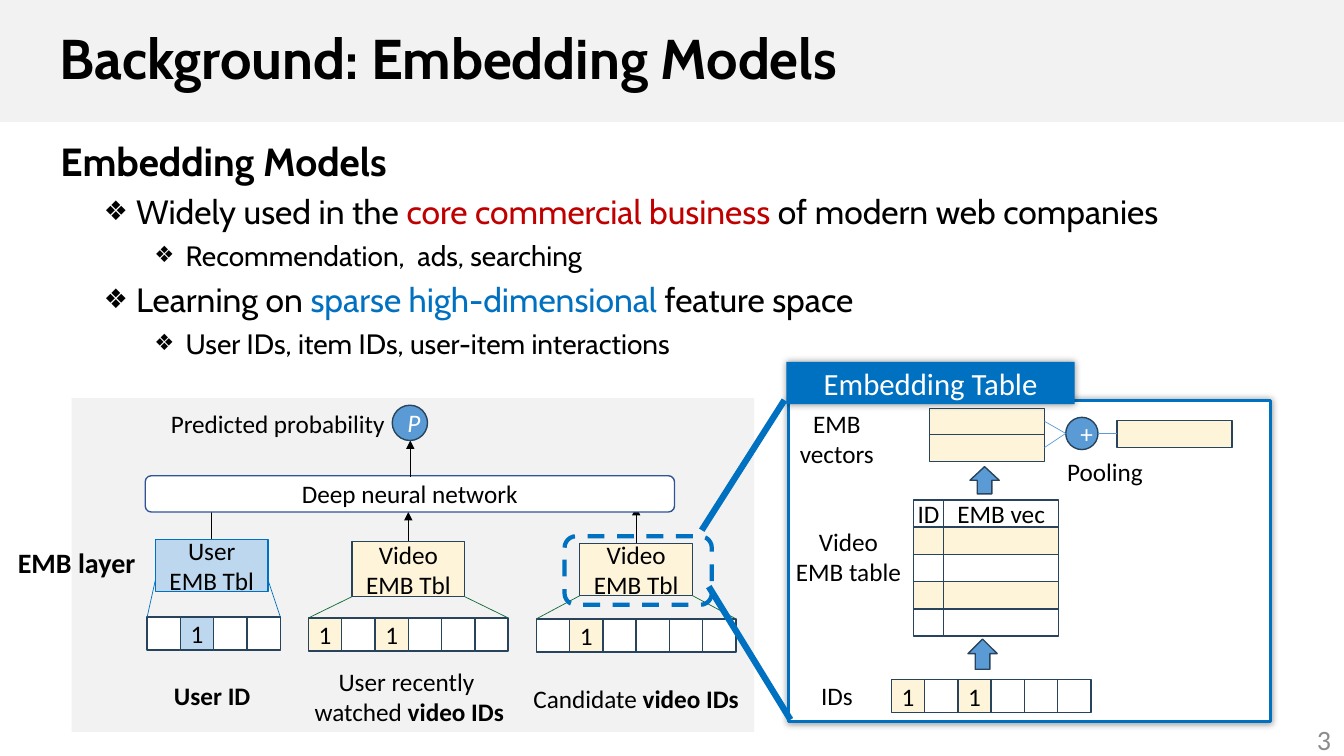
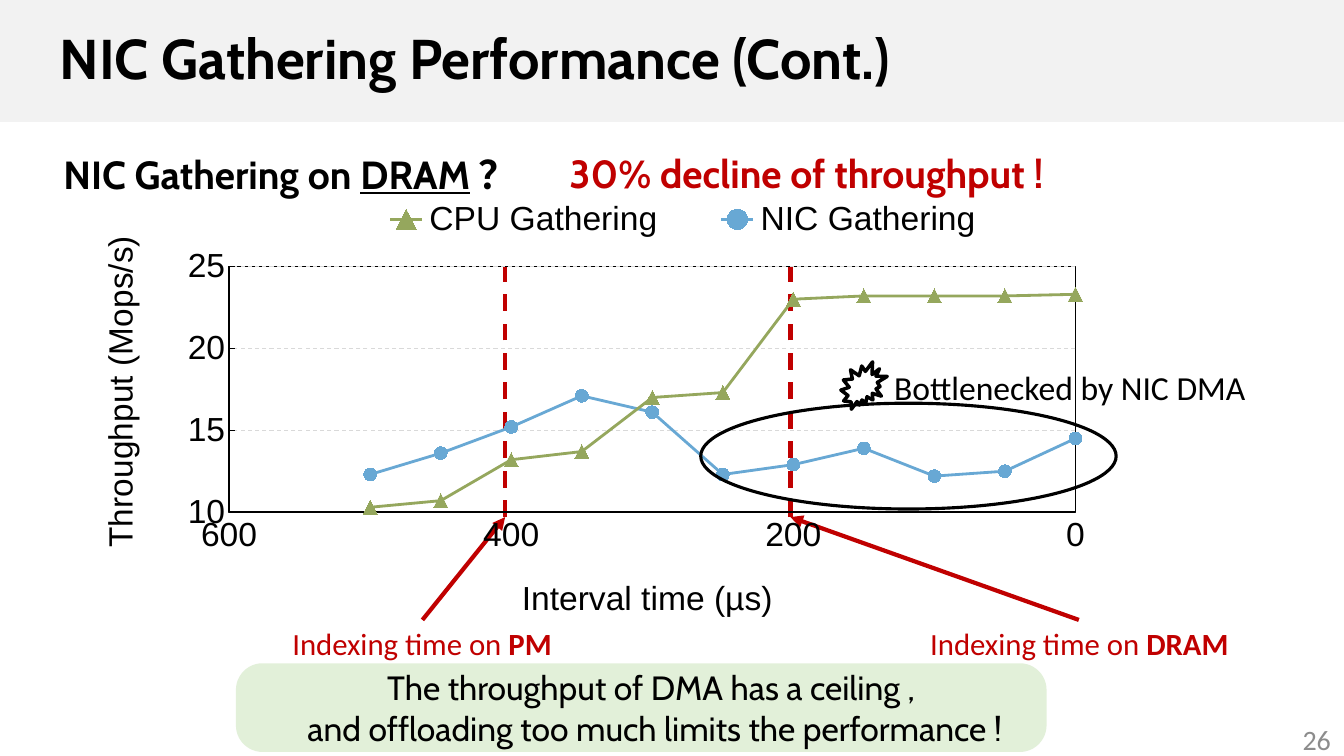
from lxml import etree
from pptx import Presentation
from pptx import util as u
from pptx.chart import data
from pptx.dml import color as colors
from pptx.enum import chart as charts, dml, shapes, text
from pptx.oxml import parse_xml
from pptx.oxml.ns import nsdecls, qn

EMU_PER_PX = 9144
BLACK, WHITE, GREY, RED = "000000", "FFFFFF", "F2F2F2", "C00000"
BLUE, SKY, PALE, CREAM = "0070C0", "5B9BD5", "BDD7EE", "FDF4D9"
INK, GREEN = "28445D", "0F6938"
KIND = shapes.MSO_SHAPE
LEFT, CENTER, RIGHT = text.PP_ALIGN.LEFT, text.PP_ALIGN.CENTER, text.PP_ALIGN.RIGHT
TOP, MIDDLE = text.MSO_ANCHOR.TOP, text.MSO_ANCHOR.MIDDLE
DASH = dml.MSO_LINE.DASH


def px(value):
    return u.Emu(value * EMU_PER_PX)


def rgb(value):
    return colors.RGBColor.from_string(value)


def assign(target, values):
    for name, value in values.items():
        setattr(target, name, value)


def style_font(font, size=18, name="Calibri", color=BLACK, **values):
    assign(font, {"size": u.Pt(size), "name": name, **values})
    font.color.rgb = rgb(color)


def style_line(line, color, width, dash=None):
    line.color.rgb = rgb(color)
    line.width = u.Pt(width)
    if dash:
        line.dash_style = dash


def write(frame, lines, align=CENTER, paragraph=None, **font):
    lines = [lines] if isinstance(lines, str) else lines
    for index, line in enumerate(lines):
        para = frame.paragraphs[0] if index == 0 else frame.add_paragraph()
        assign(para, {"alignment": align, **(paragraph or {})})
        for content, changes in [(line, {})] if isinstance(line, str) else line:
            span = para.add_run()
            span.text = content
            style_font(span.font, **{**font, **changes})


def place_manually(element, fractions):
    for old in element.findall(qn("c:layout")):
        element.remove(old)
    layout = parse_xml(f'<c:layout {nsdecls("c")}><c:manualLayout/></c:layout>')
    for tag, value in fractions.items():
        etree.SubElement(layout[0], qn(f"c:{tag}")).set("val", str(value))
    before = element.find(qn("c:tx"))
    if before is None:
        before = element.find(qn("c:legendPos"))
    if before is None:
        element.insert(0, layout)
    else:
        before.addnext(layout)


class Slides:
    heading = {"name": "Cabin", "size": 28, "bold": True}

    def __init__(self):
        self.deck = Presentation()
        assign(self.deck, {"slide_width": px(1333), "slide_height": px(750)})
        self.page = None

    def start(self, layout, title, number):
        self.page = self.deck.slides.add_slide(self.deck.slide_layouts[layout])
        box = self.page.shapes.title
        self.move(box, 0, 0, 1333, 121)
        box.fill.solid()
        box.fill.fore_color.rgb = rgb(GREY)
        assign(box.text_frame, {"margin_left": px(59), "margin_top": 0, "margin_bottom": 0,
                                "vertical_anchor": MIDDLE, "auto_size": text.MSO_AUTO_SIZE.NONE})
        write(box.text_frame, title, LEFT, {"line_spacing": 0.9}, name="Cabin", size=40, bold=True)
        self.label(1030, 712, 300, 40, number, align=RIGHT, size=20, color="8C8C8C")

    def move(self, box, *place):
        assign(box, dict(zip(("left", "top", "width", "height"), map(px, place))))

    def bullets(self, place, items):
        box = self.page.placeholders[1]
        self.move(box, *place)
        frame = box.text_frame
        assign(frame, {"vertical_anchor": TOP, "auto_size": text.MSO_AUTO_SIZE.NONE})
        levels = [(50, 0, self.heading), (125, -32, {"name": "Cabin", "size": 24}),
                  (174, -31, {"name": "Cabin", "size": 20})]
        write(frame, [[(words, {**levels[level][2], **changes}) for words, changes in spans]
                      for level, spans in items], LEFT, {"space_before": u.Pt(5)})
        for para, (level, spans) in zip(frame.paragraphs, items):
            margin, indent, _ = levels[level]
            para.level = level
            props = para._p.get_or_add_pPr()
            props.set("marL", str(px(margin)))
            props.set("indent", str(px(indent)))
            if level:
                etree.SubElement(props, qn("a:buSzPct")).set("val", "80000")
                etree.SubElement(props, qn("a:buChar")).set("char", "❖")
            else:
                etree.SubElement(props, qn("a:buNone"))

    def label(self, x, y, width, height, words, wrap=False, align=CENTER, **font):
        box = self.page.shapes.add_textbox(*map(px, (x, y, width, height)))
        box.text_frame.word_wrap = wrap
        write(box.text_frame, words, align, **font)

    def shape(self, x, y, width, height, fill=None, line=None, words=None,
              kind=KIND.RECTANGLE, glow=False, inset=None, **font):
        box = self.page.shapes.add_shape(kind, *map(px, (x, y, width, height)))
        box.shadow.inherit = False
        if fill:
            box.fill.solid()
            box.fill.fore_color.rgb = rgb(fill)
        else:
            box.fill.background()
        if line:
            style_line(box.line, *line)
        else:
            box.line.fill.background()
        if glow:
            effects = box._element.spPr.find(qn("a:effectLst"))
            effects.append(parse_xml(
                f'<a:outerShdw {nsdecls("a")} blurRad="63500" dist="0" algn="ctr" rotWithShape="0">'
                '<a:srgbClr val="000000"><a:alpha val="40000"/></a:srgbClr></a:outerShdw>'))
        if words:
            frame = box.text_frame
            frame.vertical_anchor = MIDDLE
            if inset is not None:
                assign(frame, {"margin_" + side: px(inset)
                               for side in ("left", "top", "right", "bottom")})
            write(frame, words, **font)
        return box

    def line(self, x1, y1, x2, y2, color, width=0.5, dash=None, arrow=False):
        link = self.page.shapes.add_connector(shapes.MSO_CONNECTOR.STRAIGHT, *map(px, (x1, y1, x2, y2)))
        style_line(link.line, color, width, dash)
        props = link._element.spPr
        if arrow:
            etree.SubElement(props.find(qn("a:ln")), qn("a:tailEnd")).set("type", "triangle")
        etree.SubElement(props, qn("a:effectLst"))

    def strip(self, x, y, cells, marked, color, blank=None):
        for index in range(cells):
            hit = index in marked
            self.shape(x + 33 * index, y, 33, 33, color if hit else blank, (INK, 1), "1" if hit else None)

    def tower(self, box, words, color, edge, strip, cells, marked, link, rise, tip):
        x, y, width, height = box
        left, top = strip
        self.strip(left, top, cells, marked, color, WHITE)
        self.shape(*box, color, (edge, 1), words)
        for start, end in ((x, left), (x + width, left + 33 * cells)):
            self.line(start, y + height - rise, end, top, link)
        self.line(x + width // 2, y, x + width // 2, tip, BLACK, arrow=True)

    def scatter(self, place, xs, series):
        values = data.XyChartData()
        for name, ys, *_ in series:
            entry = values.add_series(name)
            for x, y in zip(xs, ys):
                entry.add_data_point(x, y)
        chart = self.page.shapes.add_chart(
            charts.XL_CHART_TYPE.XY_SCATTER_SMOOTH, *map(px, place), values).chart
        font = {"size": 24, "name": "Arial"}
        style_font(chart.font, **font)
        assign(chart, {"has_title": False, "has_legend": True})
        assign(chart.legend, {"position": charts.XL_LEGEND_POSITION.TOP, "include_in_layout": False})
        style_font(chart.legend.font, **font)
        place_manually(chart.legend._element, {"xMode": "edge", "yMode": "edge", "x": 0.26,
                                               "y": 0.03, "w": 0.62, "h": 0.12})
        chart.plots[0].vary_by_categories = False
        for drawn, (_, _, color, marker, size) in zip(chart.plots[0].series, series):
            drawn.smooth = True
            style_line(drawn.format.line, color, 2)
            assign(drawn.marker, {"style": marker, "size": size})
            drawn.marker.format.fill.solid()
            drawn.marker.format.fill.fore_color.rgb = rgb(color)
            drawn.marker.format.line.color.rgb = rgb(color)
        tick = charts.XL_TICK_MARK
        across, up = chart.category_axis, chart.value_axis
        for axis, words, spot, values in (
                (across, "Interval time (µs)", (0.42, 0.88),
                 {"minimum_scale": 0, "maximum_scale": 600, "major_unit": 200, "reverse_order": True,
                  "has_major_gridlines": False, "major_tick_mark": tick.NONE,
                  "crosses": charts.XL_AXIS_CROSSES.MAXIMUM}),
                (up, "Throughput (Mops/s)", (0.04, 0.12),
                 {"minimum_scale": 10, "maximum_scale": 25, "major_unit": 5,
                  "has_major_gridlines": True, "major_tick_mark": tick.INSIDE})):
            assign(axis, {**values, "minor_tick_mark": tick.NONE})
            style_font(axis.tick_labels.font, **font)
            style_line(axis.format.line, BLACK, 1)
            write(axis.axis_title.text_frame, words, bold=False, **font)
            place_manually(axis.axis_title._element,
                           {"xMode": "edge", "yMode": "edge", "x": spot[0], "y": spot[1]})
        up.axis_title.text_frame._txBody.bodyPr.set("rot", "-5400000")
        style_line(up.major_gridlines.format.line, "D9D9D9", 0.75, DASH)
        area = chart._chartSpace.chart.plotArea
        place_manually(area, {"layoutTarget": "inner", "xMode": "edge", "yMode": "edge",
                              "x": 0.163, "y": 0.196, "w": 0.759, "h": 0.553})
        area.append(parse_xml(f'<c:spPr {nsdecls("c", "a")}><a:noFill/><a:ln w="12700"><a:solidFill>'
                              '<a:srgbClr val="000000"/></a:solidFill></a:ln></c:spPr>'))


def embedding_models(show):
    show.start(1, "Background: Embedding Models", "3")
    show.bullets((0, 131, 1252, 439), [
        (0, [("Embedding Models", {})]),
        (1, [("Widely used in the ", {}), ("core commercial business ", {"color": RED}),
             ("of modern web companies", {})]),
        (2, [("Recommendation,  ads, searching", {})]),
        (1, [("Learning on ", {}), ("sparse high-dimensional", {"color": BLUE}), (" feature space", {})]),
        (2, [("User IDs, item IDs, user-item interactions", {})])])

    edge = (INK, 1)
    show.shape(782, 397, 478, 319, WHITE, (BLUE, 2.25), glow=True)
    show.label(778, 517, 127, 71, ["Video", "EMB table"])
    for row in range(5):
        fill = CREAM if row % 2 else None
        for x, width, words in ((906, 30, "ID"), (936, 114, "EMB vec")):
            show.shape(x, 496 + 27 * row, width, 27, fill, edge, None if row else words, inset=0)
    show.strip(884, 674, 6, (0, 2), CREAM)
    show.label(804, 670, 52, 40, "IDs")
    for x, y, height in ((960, 634, 30), (962, 463, 27)):
        show.shape(x, y, 29, height, SKY, edge, kind=KIND.UP_ARROW)
    for x, y in ((922, 405), (922, 431), (1108, 417)):
        show.shape(x, y, 114, 27, CREAM, edge)
    show.label(1048, 448, 96, 40, "Pooling")
    show.shape(1057, 414, 32, 32, SKY, edge, "+", KIND.OVAL, color=WHITE)
    for ends in ((1036, 418, 1057, 430), (1036, 444, 1057, 430), (1089, 430, 1108, 430)):
        show.line(*ends, SKY)
    show.shape(780, 359, 286, 42, BLUE, words="Embedding Table", glow=True, size=22, color=WHITE)
    show.label(741, 400, 178, 71, ["EMB", "vectors"])

    show.shape(71, 395, 677, 331, GREY)
    video = ["Video", "EMB Tbl"]
    show.tower((154, 535, 112, 52), ["User", "EMB Tbl"], PALE, BLUE, (146, 612), 4, (1,), BLUE, 11, 499)
    show.tower((575, 539, 112, 52), video, CREAM, INK, (532, 614), 6, (1,), GREEN, 0, 503)
    show.tower((349, 537, 112, 55), video, CREAM, INK, (306, 613), 6, (0, 2), GREEN, 0, 508)
    strong = {"bold": True}
    show.label(162, 670, 97, 40, "User ID", **strong)
    show.label(518, 673, 226, 40, [[("Candidate ", {}), ("video IDs", strong)]])
    show.label(301, 656, 210, 71, ["User recently ", [("watched ", {}), ("video IDs", strong)]])
    show.shape(144, 472, 525, 36, WHITE, ("2F5597", 1), "Deep neural network", KIND.ROUNDED_RECTANGLE)
    show.line(407, 473, 407, 437, BLACK, arrow=True)
    show.shape(389, 402, 35, 35, SKY, edge, "P", KIND.OVAL, color=WHITE, italic=True)
    show.label(158, 400, 235, 40, "Predicted probability")
    show.shape(560, 532, 146, 68, line=(BLUE, 3, DASH), kind=KIND.ROUNDED_RECTANGLE)
    for ends in ((696, 526, 778, 397), (703, 582, 784, 714)):
        show.line(*ends, BLUE, 4.5)
    show.label(7, 536, 138, 44, "EMB layer", size=20, **strong)


def gathering_performance(show):
    show.start(5, "NIC Gathering Performance (Cont.)", "26")
    for x, width, target, tail, foot in ((279, 279, "PM", 419, 501), (912, 317, "DRAM", 1070, 784)):
        show.label(x, 615, width, 47, [[("Indexing time on ", {}), (target, {"bold": True})]],
                   size=22, color=RED)
        show.line(tail, 615, foot, 513, RED, 3, arrow=True)
        show.line(foot, 513, foot, 264, RED, 3, DASH)
    marker = charts.XL_MARKER_STYLE
    show.scatter((47, 178, 1106, 445), range(0, 501, 50), [
        ("CPU Gathering", (23.3, 23.2, 23.2, 23.2, 23, 17.3, 17, 13.7, 13.2, 10.7, 10.3),
         "95A75D", marker.TRIANGLE, 10),
        ("NIC Gathering", (14.5, 12.5, 12.2, 13.9, 12.9, 12.3, 16.1, 17.1, 15.2, 13.6, 12.3),
         "68A8D4", marker.CIRCLE, 9)])
    show.label(53, 144, 500, 57, [[("NIC Gathering on ", {}), ("DRAM", {"underline": True}), (" ？", {})]],
               True, LEFT, **show.heading)
    banner = show.shape(234, 658, 804, 88, "E2F0D9", None,
                        ["The throughput of DMA has a ceiling , ",
                         "and offloading too much limits the performance !"],
                        KIND.ROUNDED_RECTANGLE, inset=4, size=24, name="Cabin")
    banner.adjustments[0] = 0.3
    banner.text_frame.margin_left = px(31)
    show.shape(695, 400, 412, 105, line=(BLACK, 2.25), kind=KIND.OVAL)
    show.label(875, 359, 372, 50, "Bottlenecked by NIC DMA", size=24)
    show.shape(834, 359, 46, 47, WHITE, (BLACK, 2.5), kind=KIND.EXPLOSION2)
    show.label(555, 143, 674, 57, "30% decline of throughput !", True, LEFT, color=RED, **show.heading)


def main():
    show = Slides()
    embedding_models(show)
    gathering_performance(show)
    show.deck.save("out.pptx")


if __name__ == "__main__":
    main()
